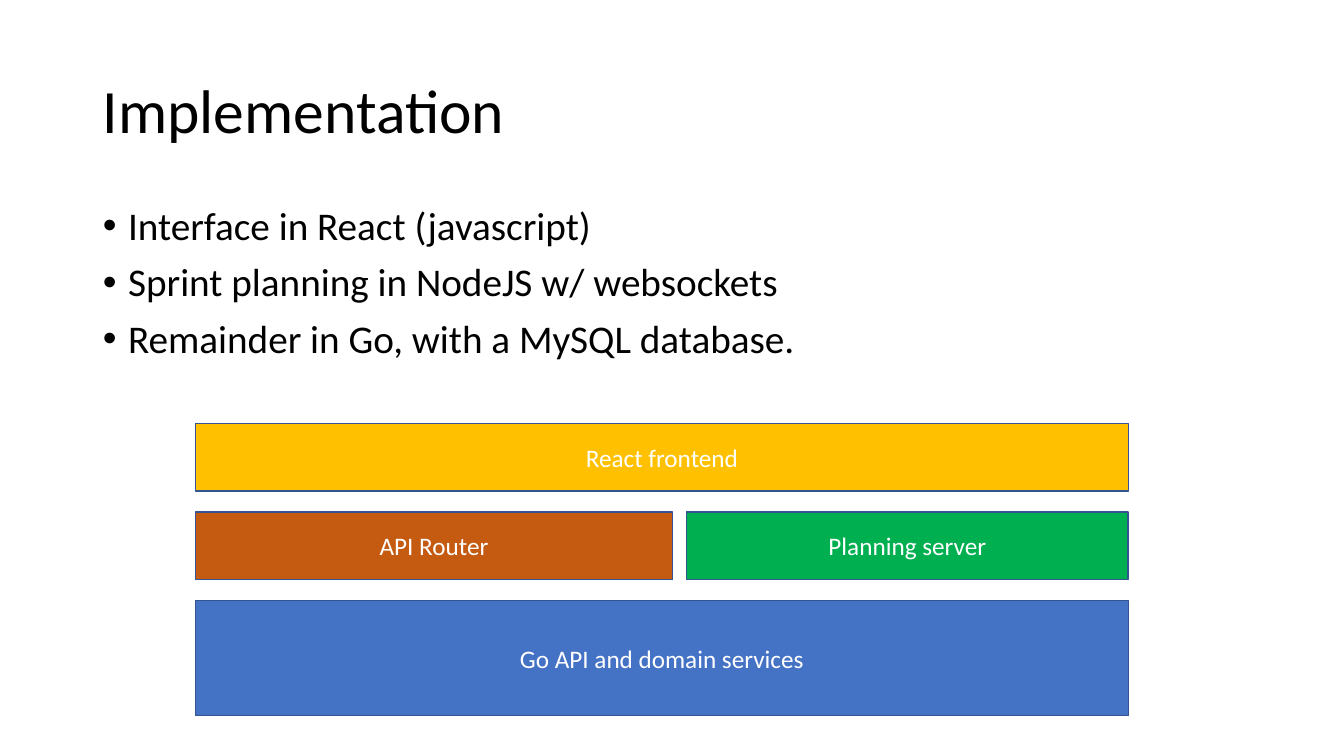
from dataclasses import dataclass

from lxml.etree import SubElement
from pptx import Presentation
from pptx.dml.color import RGBColor
from pptx.enum.shapes import MSO_SHAPE
from pptx.enum.text import MSO_ANCHOR, MSO_AUTO_SIZE, PP_ALIGN
from pptx.oxml.ns import qn
from pptx.util import Inches, Pt

FONT = "Calibri"
COLORS = {
    "text": "000000",
    "label": "FFFFFF",
    "outline": "325491",
    "frontend": "FFC000",
    "router": "C55A11",
    "planning": "00B050",
    "services": "4472C4",
}
BULLETS = [
    "Interface in React (javascript)",
    "Sprint planning in NodeJS w/ websockets",
    "Remainder in Go, with a MySQL database.",
]
STACK_LEFT, STACK_TOP, STACK_WIDTH = 1.94, 4.2, 9.25
ROW_GAP, COLUMN_GAP = 0.21, 0.14


@dataclass
class Block:
    label: str
    color: str
    width: float


@dataclass
class Layer:
    height: float
    blocks: list[Block]


LAYERS = [
    Layer(0.67, [Block("React frontend", "frontend", STACK_WIDTH)]),
    Layer(0.67, [Block("API Router", "router", 4.73),
                 Block("Planning server", "planning", 4.38)]),
    Layer(1.14, [Block("Go API and domain services", "services", STACK_WIDTH)]),
]


def rgb(name: str) -> RGBColor:
    return RGBColor.from_string(COLORS[name])


def place(shape, left: float, top: float, width: float, height: float) -> None:
    shape.left, shape.top = Inches(left), Inches(top)
    shape.width, shape.height = Inches(width), Inches(height)


def format_paragraph(paragraph, size: int, color: str, alignment: PP_ALIGN) -> None:
    paragraph.alignment = alignment
    paragraph.font.name = FONT
    paragraph.font.size = Pt(size)
    paragraph.font.color.rgb = rgb(color)


def add_bullet(paragraph) -> None:
    properties = paragraph._p.get_or_add_pPr()
    properties.set("marL", str(Inches(0.25)))
    properties.set("indent", str(-Inches(0.25)))
    SubElement(properties, qn("a:buFont")).set("typeface", "Arial")
    SubElement(properties, qn("a:buChar")).set("char", "•")


def fill_title(title) -> None:
    place(title, 0.92, 0.4, 11.5, 1.45)
    frame = title.text_frame
    frame.text = "Implementation"
    frame.auto_size = MSO_AUTO_SIZE.NONE
    frame.vertical_anchor = MSO_ANCHOR.MIDDLE
    paragraph = frame.paragraphs[0]
    paragraph.line_spacing = 0.9
    format_paragraph(paragraph, 44, "text", PP_ALIGN.LEFT)


def fill_body(body) -> None:
    place(body, 0.92, 2, 11.5, 4.76)
    frame = body.text_frame
    frame.text = "\n".join(BULLETS)
    frame.auto_size = MSO_AUTO_SIZE.NONE
    for index, paragraph in enumerate(frame.paragraphs):
        add_bullet(paragraph)
        paragraph.line_spacing = 0.9
        paragraph.space_before = Pt(10 if index else 0)
        format_paragraph(paragraph, 28, "text", PP_ALIGN.LEFT)


def add_block(slide, block: Block, left: float, top: float, height: float) -> None:
    shape = slide.shapes.add_shape(
        MSO_SHAPE.RECTANGLE, Inches(left), Inches(top), Inches(block.width), Inches(height))
    shape.shadow.inherit = False
    shape.fill.solid()
    shape.fill.fore_color.rgb = rgb(block.color)
    shape.line.color.rgb = rgb("outline")
    shape.line.width = Pt(1)
    frame = shape.text_frame
    frame.text = block.label
    frame.vertical_anchor = MSO_ANCHOR.MIDDLE
    format_paragraph(frame.paragraphs[0], 18, "label", PP_ALIGN.CENTER)


def add_stack(slide) -> None:
    top = STACK_TOP
    for layer in LAYERS:
        left = STACK_LEFT
        for block in layer.blocks:
            add_block(slide, block, left, top, layer.height)
            left += block.width + COLUMN_GAP
        top += layer.height + ROW_GAP


def main() -> None:
    presentation = Presentation()
    presentation.slide_width = Inches(13.33)
    presentation.slide_height = Inches(7.5)
    slide = presentation.slides.add_slide(presentation.slide_layouts[1])
    fill_title(slide.shapes.title)
    fill_body(slide.placeholders[1])
    add_stack(slide)
    presentation.save("out.pptx")


if __name__ == "__main__":
    main()
